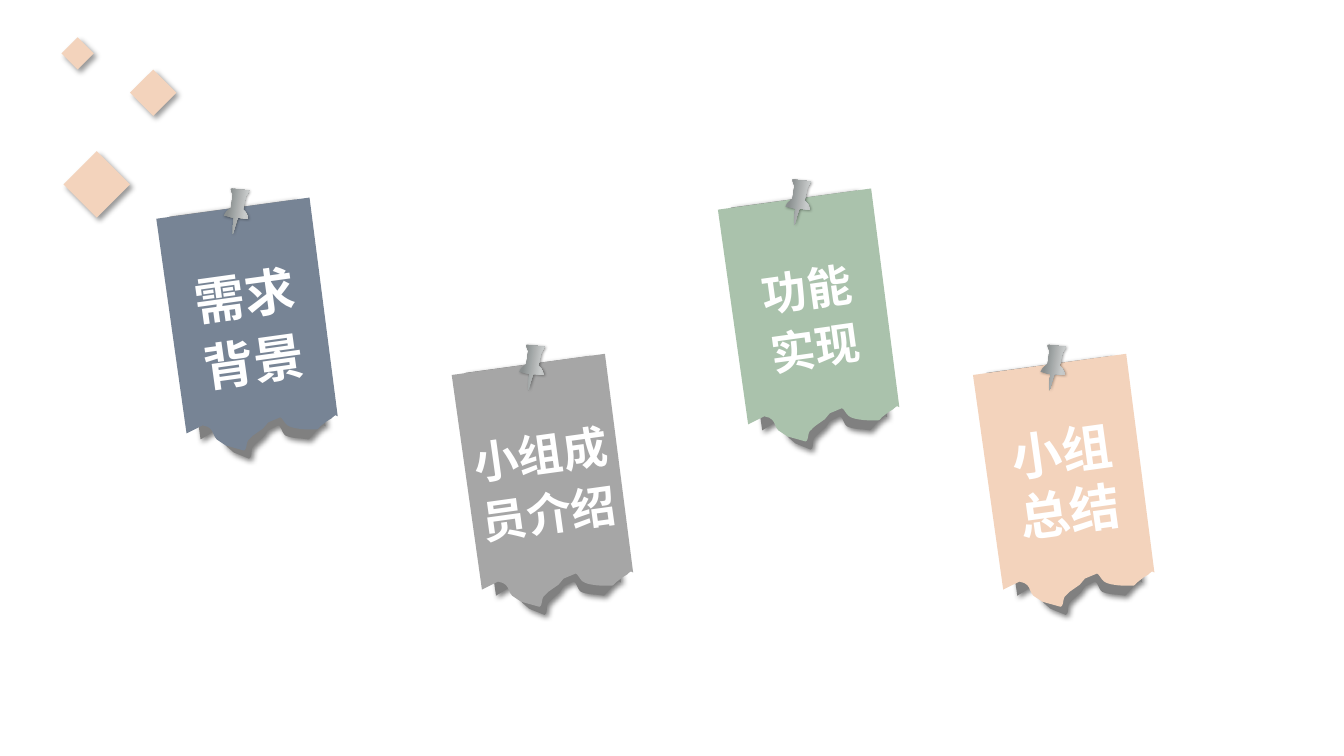
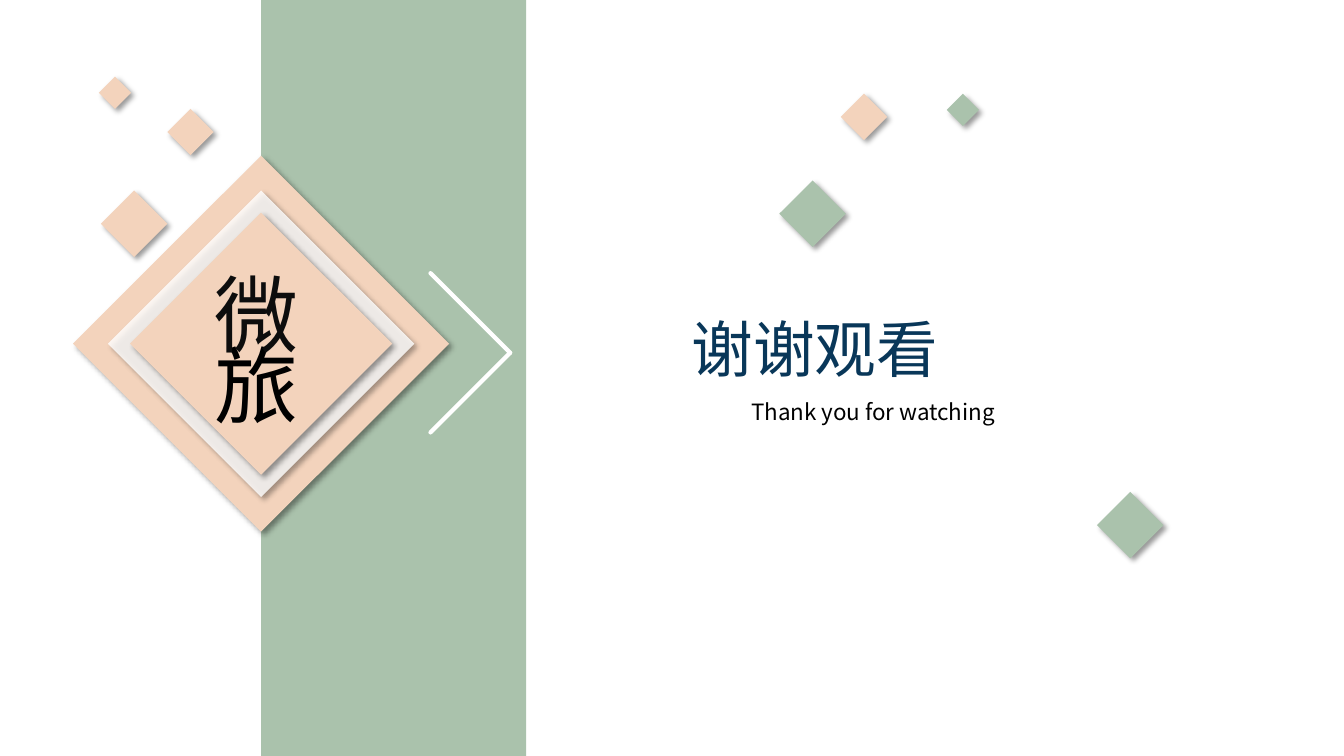
import math

import pptx
import pptx.dml.color
import pptx.enum.dml
import pptx.enum.shapes
import pptx.enum.text
import pptx.oxml
import pptx.oxml.ns
import pptx.util

Inches, Pt = pptx.util.Inches, pptx.util.Pt
RGBColor = pptx.dml.color.RGBColor
MSO_SHAPE = pptx.enum.shapes.MSO_SHAPE
ANCHOR = pptx.enum.text.MSO_ANCHOR
ALIGN = pptx.enum.text.PP_ALIGN
qn = pptx.oxml.ns.qn

# Shared look
FONT = "Noto Sans CJK SC"
WHITE = RGBColor(0xFF, 0xFF, 0xFF)
BLACK = RGBColor(0, 0, 0)
INK = RGBColor(0x0D, 0x0D, 0x0D)
NAVY = RGBColor(0x09, 0x37, 0x59)
PEACH = RGBColor(0xF3, 0xD3, 0xBC)
GREEN = RGBColor(0xAA, 0xC2, 0xAC)
SLATE = RGBColor(0x77, 0x84, 0x95)
GREY = RGBColor(0xA6, 0xA6, 0xA6)
BACKING_GREY = RGBColor(0x80, 0x80, 0x80)
PIN_STOPS = [(0, "8A8F8F"), (35, "8A8F8F"), (64, "C7CACA"), (83, "BDBDBD")]

# Shadows: opacity %, blur pt, distance pt
DIAMOND_SHADOW = (40, 4, 3)
BACKING_SHADOW = (50, 4, 2)
PIN_SHADOW = (40, 2, 1)

# Notes: text, size, colour, line spacing, offset from the first note
NOTES = [
    ("需求背景", 36, SLATE, 1.1, (0, 0)),
    ("小组成员介绍", 32, GREY, 1.1, (2.93, 1.55)),
    ("功能 实现", 32, GREEN, 1.1, (5.57, -0.09)),
    ("小组总结", 36, PEACH, 1, (8.1, 1.55)),
]
NOTE_TILT, PIN_TILT = -7.9, -37.4

# Outlines as seen on the slide: pairs are corners, sixes are Bézier curves
BACKING = [
    (1.68, 2.15), (1.99, 4.36), (2.12, 4.28), (2.22, 4.3, 2.2, 4.38, 2.25, 4.43),
    (2.32, 4.49), (2.47, 4.55), (2.5, 4.54, 2.49, 4.48, 2.5, 4.45),
    (2.51, 4.43, 2.52, 4.42, 2.54, 4.4), (2.62, 4.33), (2.66, 4.27), (2.76, 4.22),
    (2.79, 4.23, 2.8, 4.3, 2.83, 4.32), (2.87, 4.34, 2.95, 4.35, 2.98, 4.35),
    (3.06, 4.36), (3.08, 4.35, 3.08, 4.33, 3.1, 4.32),
    (3.11, 4.3, 3.13, 4.29, 3.14, 4.27), (3.18, 4.24),
    (3.19, 4.23, 3.2, 4.22, 3.21, 4.22), (3.23, 4.23), (2.93, 1.98),
]
PAPER = [
    (1.55, 2.17), (1.85, 4.3), (2.01, 4.22), (2.13, 4.24, 2.1, 4.31, 2.15, 4.36),
    (2.24, 4.42), (2.42, 4.47), (2.45, 4.46, 2.44, 4.4, 2.46, 4.37),
    (2.48, 4.35, 2.49, 4.34, 2.51, 4.32), (2.61, 4.25), (2.66, 4.19), (2.78, 4.14),
    (2.81, 4.15, 2.82, 4.21, 2.87, 4.23), (2.91, 4.25, 3, 4.26, 3.04, 4.26),
    (3.14, 4.26), (3.16, 4.26, 3.17, 4.23, 3.19, 4.22),
    (3.2, 4.21, 3.23, 4.19, 3.24, 4.18), (3.29, 4.15),
    (3.3, 4.14, 3.32, 4.12, 3.33, 4.12), (3.35, 4.13), (3.07, 1.96),
]
PIN = [
    (2.29, 1.87), (2.47, 1.89), (2.47, 1.91, 2.45, 1.93, 2.44, 1.95), (2.41, 2.08),
    (2.44, 2.1, 2.46, 2.14, 2.46, 2.17), (2.36, 2.16),
    (2.34, 2.21, 2.33, 2.26, 2.31, 2.32), (2.31, 2.26, 2.31, 2.21, 2.32, 2.16),
    (2.22, 2.14), (2.23, 2.12, 2.24, 2.09, 2.27, 2.08),
    (2.27, 2.07, 2.28, 2.07, 2.29, 2.07), (2.31, 1.93),
    (2.3, 1.91, 2.29, 1.89, 2.29, 1.87),
]

# Diamonds: left, top, size, colour
TRIO = [(0.63, 1.5, 0.66, PEACH), (1.29, 0.69, 0.46, PEACH), (0.61, 0.37, 0.32, PEACH)]
TRIO_SHIFT = (0.37, 0.39)
EMBLEM_CENTRE = (2.59, 3.41)
EMBLEM = [(3.73, PEACH, 100), (3.04, WHITE, 81), (2.6, PEACH, 100)]
SCATTER = [(7.73, 1.79, 0.66, GREEN), (8.34, 0.93, 0.46, PEACH),
           (9.39, 0.93, 0.32, GREEN), (10.88, 4.88, 0.66, GREEN)]
CHEVRON = [(4.27, 2.71), (5.06, 3.5), (4.27, 4.29)]
EMBLEM_WORDS = [("旅", 3.26, BLACK), ("微", 2.55, INK)]


def sub(parent, tag, **attrs):
    el = parent.makeelement(qn(tag), {k: str(v) for k, v in attrs.items()})
    parent.append(el)
    return el


def paint(sp, color=None, shadow=None, alpha=100):
    sp.line.fill.background()
    if color is not None:
        sp.fill.solid()
        sp.fill.fore_color.rgb = color
        if alpha < 100:
            sub(sp._element.spPr.find(".//" + qn("a:srgbClr")), "a:alpha", val=alpha * 1000)
    sp.shadow.inherit = False
    if shadow:
        opacity, blur, dist = shadow
        effects = sp._element.spPr.find(qn("a:effectLst"))
        outer = sub(effects, "a:outerShdw", blurRad=Pt(blur), dist=Pt(dist),
                    dir=45 * 60000, algn="tl", rotWithShape=0)
        sub(sub(outer, "a:srgbClr", val="000000"), "a:alpha", val=opacity * 1000)


def paint_metal(sp):
    sp.fill.gradient()
    grad = sp._element.spPr.find(qn("a:gradFill"))
    stops = grad.find(qn("a:gsLst"))
    for gs in list(stops):
        stops.remove(gs)
    for pos, color in PIN_STOPS:
        sub(sub(stops, "a:gs", pos=pos * 1000), "a:srgbClr", val=color)
    grad.find(qn("a:lin")).set("ang", str(45 * 60000))


def write(sp, text, size, color, bold=False, align=ALIGN.LEFT, spacing=1, anchor=ANCHOR.TOP):
    tf = sp.text_frame
    tf.word_wrap = True
    tf.auto_size = pptx.enum.text.MSO_AUTO_SIZE.NONE
    tf.vertical_anchor = anchor
    p = tf.paragraphs[0]
    p.alignment, p.line_spacing, p.space_before = align, spacing, Pt(0)
    r = p.add_run()
    r.text = text
    r.font.size, r.font.bold, r.font.name = Pt(size), bold, FONT
    r.font.color.rgb = color
    sub(r._r.get_or_add_rPr(), "a:ea", typeface=FONT)
    return tf


def move(sp, left, top, width, height):
    sp.left, sp.top, sp.width, sp.height = map(Inches, (left, top, width, height))


def diamond(s, left, top, size, color, alpha=100):
    sp = s.shapes.add_shape(MSO_SHAPE.DIAMOND, Inches(left), Inches(top),
                            Inches(size), Inches(size))
    paint(sp, color, DIAMOND_SHADOW, alpha)


def diamond_trio(s, dx=0, dy=0):
    for left, top, size, color in TRIO:
        diamond(s, left + dx, top + dy, size, color)


def flatten(outline, steps=6):
    points = []
    for part in outline:
        if len(part) == 2:
            points.append(part)
            continue
        bezier = [points[-1], part[:2], part[2:4], part[4:]]
        for i in range(1, steps + 1):
            t = i / steps
            weights = [(1 - t) ** 3, 3 * t * (1 - t) ** 2, 3 * t * t * (1 - t), t ** 3]
            points.append(tuple(sum(w * q[axis] for w, q in zip(weights, bezier))
                                for axis in (0, 1)))
    return points


def turn(x, y, degrees):
    c, n = math.cos(math.radians(degrees)), math.sin(math.radians(degrees))
    return x * c - y * n, x * n + y * c


def tilted(s, outline, offset, tilt):
    """Draw the outline upright, then turn it so that text follows the tilt."""
    dx, dy = offset
    upright = [tuple(Inches(v) for v in turn(x + dx, y + dy, -tilt))
               for x, y in flatten(outline)]
    builder = s.shapes.build_freeform(*upright[0])
    builder.add_line_segments(upright[1:], close=True)
    sp = builder.convert_to_shape()
    cx, cy = turn(sp.left + sp.width / 2, sp.top + sp.height / 2, tilt)
    sp.left, sp.top = round(cx - sp.width / 2), round(cy - sp.height / 2)
    sp.rotation = tilt
    return sp


def note(s, text, size, color, spacing, offset):
    paint(tilted(s, BACKING, offset, NOTE_TILT), BACKING_GREY, BACKING_SHADOW)
    paper = tilted(s, PAPER, offset, NOTE_TILT)
    paint(paper, color)
    tf = write(paper, text, size, WHITE, True, ALIGN.CENTER, spacing, ANCHOR.MIDDLE)
    tf.margin_left = tf.margin_right = Inches(0.08)
    tf.margin_top, tf.margin_bottom = Inches(0.05), Inches(0.12)
    pin = tilted(s, PIN, offset, PIN_TILT)
    paint_metal(pin)
    paint(pin, shadow=PIN_SHADOW)


def contents_slide(prs):
    s = prs.slides.add_slide(prs.slide_layouts[6])
    for item in NOTES:
        note(s, *item)
    diamond_trio(s)


def closing_slide(prs):
    s = prs.slides.add_slide(prs.slide_layouts[0])
    # Title and subtitle
    title, subtitle = s.placeholders
    move(title, 6.76, 3.03, 6.57, 0.84)
    write(title, "谢谢观看", 44, NAVY)
    move(subtitle, 7.35, 3.9, 5.27, 0.37)
    write(subtitle, "Thank you for watching", 16, BLACK)
    # Band and emblem
    band = s.shapes.add_shape(MSO_SHAPE.RECTANGLE, Inches(2.59), 0, Inches(2.63), prs.slide_height)
    paint(band, GREEN)
    cx, cy = EMBLEM_CENTRE
    for size, color, alpha in EMBLEM:
        diamond(s, cx - size / 2, cy - size / 2, size, color, alpha)
    # Small diamonds
    diamond_trio(s, *TRIO_SHIFT)
    for item in SCATTER:
        diamond(s, *item)
    # Chevron
    for start, end in zip(CHEVRON, CHEVRON[1:]):
        line = s.shapes.add_connector(pptx.enum.shapes.MSO_CONNECTOR.STRAIGHT,
                                      *map(Inches, start + end))
        line.line.color.rgb = WHITE
        line.line.width = Pt(3)
        line.line._ln.set("cap", "rnd")
        sub(line._element.spPr, "a:effectLst")
    # Emblem words
    for word, top, color in EMBLEM_WORDS:
        box = s.shapes.add_textbox(Inches(2.03), Inches(top), Inches(1.12), Inches(1.11))
        write(box, word, 60, color)


def main():
    prs = pptx.Presentation()
    prs.slide_width, prs.slide_height = Inches(13.33), Inches(7.5)
    contents_slide(prs)
    closing_slide(prs)
    prs.save("out.pptx")


if __name__ == "__main__":
    main()
